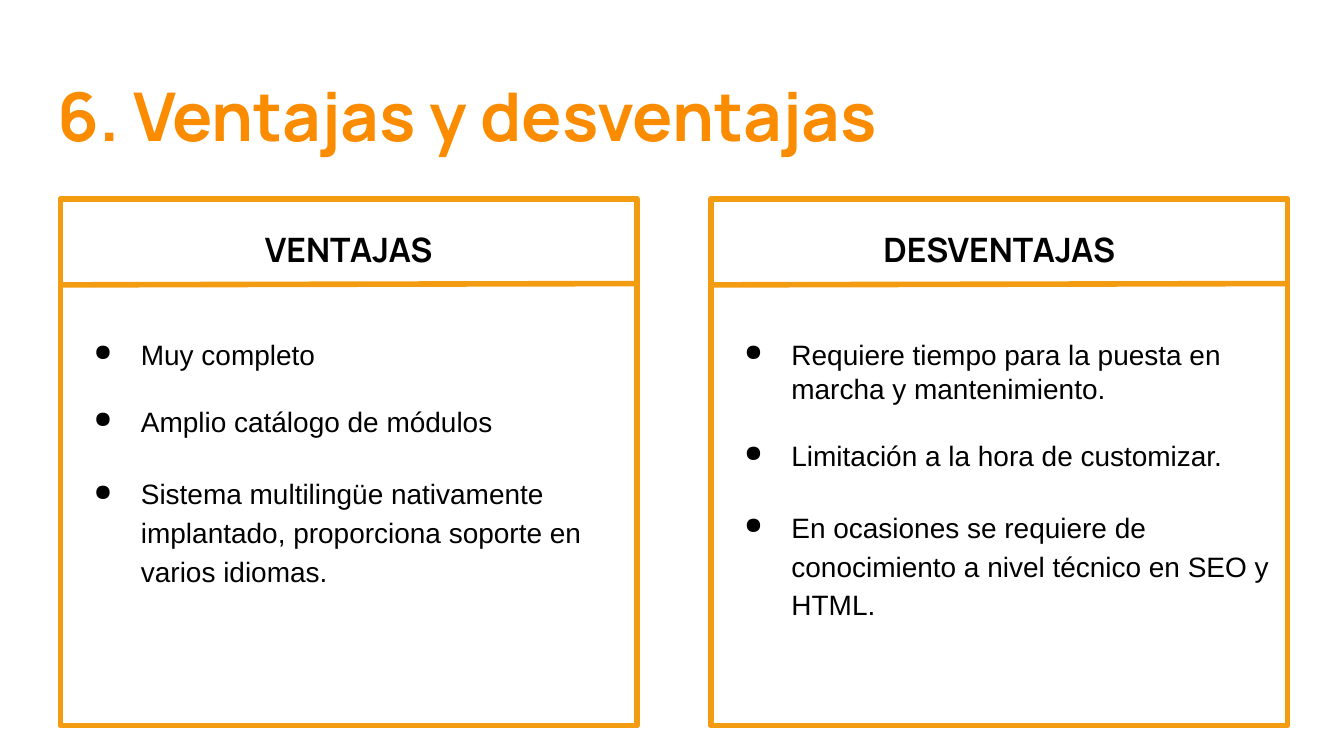
from lxml import etree
from pptx import Presentation
from pptx.dml.color import RGBColor
from pptx.enum.shapes import MSO_CONNECTOR, MSO_SHAPE
from pptx.enum.text import PP_ALIGN
from pptx.oxml.ns import qn
from pptx.util import Inches, Pt

RECTANGLE = MSO_SHAPE.RECTANGLE
STRAIGHT = MSO_CONNECTOR.STRAIGHT
CENTER = PP_ALIGN.CENTER

COLORS = {"title": "FB8C00", "frame": "F39C12", "text": "000000"}
CARD_TOP, CARD_WIDTH, CARD_HEIGHT = 1.48, 4.29, 3.92
CARDS = [
    (0.45, "VENTAJAS", [
        "Muy completo",
        "Amplio catálogo de módulos",
        "Sistema multilingüe nativamente implantado, proporciona soporte en varios idiomas.",
    ]),
    (5.29, "DESVENTAJAS", [
        "Requiere tiempo para la puesta en marcha y mantenimiento.",
        "Limitación a la hora de customizar.",
        "En ocasiones se requiere de conocimiento a nivel técnico en SEO y HTML.",
    ]),
]


def add_text_frame(left, top, width, height):
    frame = slide.shapes.add_textbox(
        Inches(left), Inches(top), Inches(width), Inches(height)).text_frame
    frame.word_wrap = True
    frame.margin_left = frame.margin_right = Inches(0.1)
    frame.margin_top = frame.margin_bottom = Inches(0.1)
    return frame


def write(paragraph, text, font, size, color, bold=False):
    paragraph.text = text
    paragraph.font.name = font
    paragraph.font.size = Pt(size)
    paragraph.font.bold = bold
    paragraph.font.color.rgb = RGBColor.from_string(COLORS[color])


prs = Presentation()
# 16:9 page
prs.slide_width, prs.slide_height = Inches(10), Inches(10 * 9 / 16)
slide = prs.slides.add_slide(prs.slide_layouts[6])

# Title
title = add_text_frame(0.33, 0.45, 9.32, 0.7)
write(title.paragraphs[0], "6. Ventajas y desventajas", "Manrope", 36, "title", True)

for left, heading, points in CARDS:
    # Card frame and the rule under its heading
    card = slide.shapes.add_shape(
        RECTANGLE, Inches(left), Inches(CARD_TOP), Inches(CARD_WIDTH), Inches(CARD_HEIGHT))
    card.shadow.inherit = False
    card.fill.background()
    rule = slide.shapes.add_connector(
        STRAIGHT, Inches(left), Inches(2.12), Inches(left + CARD_WIDTH), Inches(2.11))
    for outline in (card, rule):
        outline.line.color.rgb = RGBColor.from_string(COLORS["frame"])
        outline.line.width = Pt(3)
        etree.SubElement(outline._element.spPr.find(qn("a:ln")), qn("a:round"))
    etree.SubElement(rule._element.spPr, qn("a:effectLst"))

    # Heading
    content = add_text_frame(left, 1.56, CARD_WIDTH, 3.84)
    header = content.paragraphs[0]
    write(header, heading, "Manrope", 18, "text", True)
    header.alignment = CENTER
    header.line_spacing = 1.15

    # Bulleted points, the last one with looser lines
    for index, point in enumerate(points):
        item = content.add_paragraph()
        write(item, point, "Arial", 15, "text")
        item.space_before = Pt(36.5 if index == 0 else 18)
        item.line_spacing = 1.15 if index == len(points) - 1 else 1.0
        props = item._p.get_or_add_pPr()
        props.set("marL", str(Inches(0.5)))
        props.set("indent", str(Inches(-0.35)))
        run_defaults = props.find(qn("a:defRPr"))
        run_defaults.addprevious(etree.Element(qn("a:buSzPct"), val="83000"))
        run_defaults.addprevious(etree.Element(qn("a:buChar"), char="●"))

prs.save("out.pptx")
